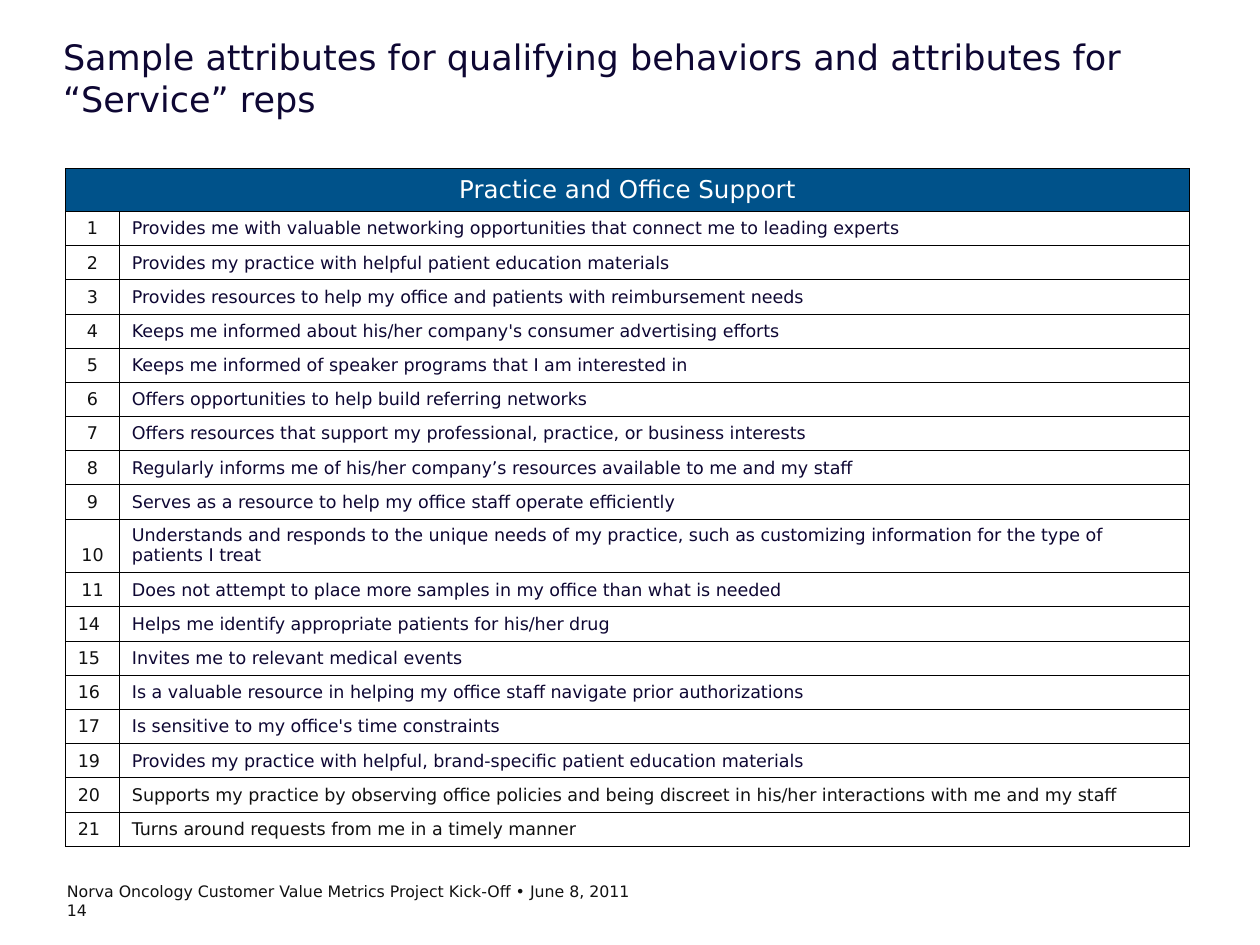
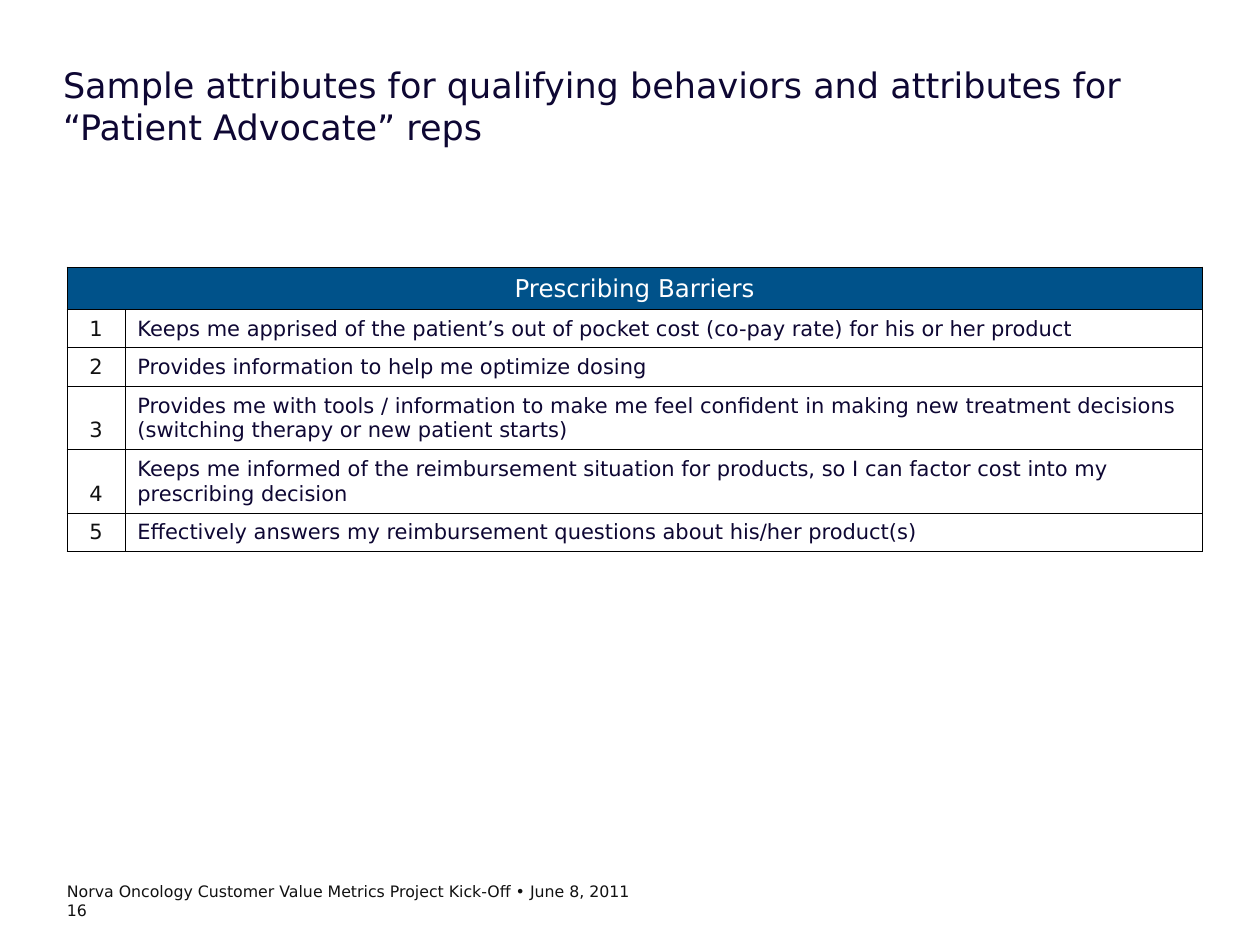
from dataclasses import dataclass

from lxml import etree
from pptx import Presentation
from pptx import util as u
from pptx.dml import color
from pptx.enum import text
from pptx.oxml import ns

Cm, Pt = u.Cm, u.Pt
ALIGN = text.PP_ALIGN


@dataclass(frozen=True)
class Theme:
    font: str = "DejaVu Sans"
    navy: str = "0E0733"
    ink: str = "111111"
    band: str = "00528A"
    white: str = "FFFFFF"
    border: str = "000000"
    border_pt: float = 0.45
    title_pt: int = 20
    heading_pt: int = 14
    footer_pt: int = 9


@dataclass(frozen=True)
class TableLayout:
    """Measures in centimetres, text size in points."""
    left: float
    top: float
    columns: tuple
    row: float
    tall_row: float
    size: int
    heading_row: float = 0.86


FOOTER = "Norva Oncology Customer Value Metrics Project Kick-Off • June 8, 2011"
TITLE_START = "Sample attributes for qualifying behaviors and attributes for "

SERVICE_ATTRIBUTES = {
    1: "Provides me with valuable networking opportunities that connect me to leading experts",
    2: "Provides my practice with helpful patient education materials",
    3: "Provides resources to help my office and patients with reimbursement needs",
    4: "Keeps me informed about his/her company's consumer advertising efforts",
    5: "Keeps me informed of speaker programs that I am interested in",
    6: "Offers opportunities to help build referring networks",
    7: "Offers resources that support my professional, practice, or business interests",
    8: "Regularly informs me of his/her company’s resources available to me and my staff",
    9: "Serves as a resource to help my office staff operate efficiently",
    10: "Understands and responds to the unique needs of my practice, such as "
        "customizing information for the type of patients I treat",
    11: "Does not attempt to place more samples in my office than what is needed",
    14: "Helps me identify appropriate patients for his/her drug",
    15: "Invites me to relevant medical events",
    16: "Is a valuable resource in helping my office staff navigate prior authorizations",
    17: "Is sensitive to my office's time constraints",
    19: "Provides my practice with helpful, brand-specific patient education materials",
    20: "Supports my practice by observing office policies and being discreet in "
        "his/her interactions with me and my staff",
    21: "Turns around requests from me in a timely manner",
}

ADVOCATE_ATTRIBUTES = {
    1: "Keeps me apprised of the patient’s out of pocket cost (co-pay rate) for his or her product",
    2: "Provides information to help me optimize dosing",
    3: "Provides me with tools / information to make me feel confident in making "
       "new treatment decisions (switching therapy or new patient starts)",
    4: "Keeps me informed of the reimbursement situation for products, so I can "
       "factor cost into my prescribing decision",
    5: "Effectively answers my reimbursement questions about his/her product(s)",
}

FIRST_LEFT_NUMBER = 14  # numbers from here on are left-aligned
FIRST_INK_NUMBER = 20   # attributes from here on are in ink, not navy


class Deck:
    def __init__(self, theme):
        self.theme = theme
        self.prs = Presentation()
        self.prs.slide_width, self.prs.slide_height = Cm(25.4), Cm(19.05)
        self.slide = None

    def new_slide(self):
        self.slide = self.prs.slides.add_slide(self.prs.slide_layouts[5])

    def add_words(self, paragraph, words, size, tint, align=ALIGN.LEFT):
        paragraph.alignment = align
        run = paragraph.add_run()
        run.text = words
        run.font.name = self.theme.font
        run.font.size = Pt(size)
        run.font.color.rgb = color.RGBColor.from_string(tint)

    def prepare_frame(self, frame):
        frame.margin_left = frame.margin_right = 0
        frame.margin_top = frame.margin_bottom = 0
        frame.word_wrap = True
        frame.auto_size = text.MSO_AUTO_SIZE.NONE
        frame.vertical_anchor = text.MSO_ANCHOR.TOP

    def title(self, words, top, width):
        heading = self.slide.shapes.title
        heading.left, heading.top = Cm(1.27), Cm(top)
        heading.width, heading.height = Cm(width), Cm(2.54)
        self.prepare_frame(heading.text_frame)
        self.add_words(heading.text_frame.paragraphs[0], words,
                       self.theme.title_pt, self.theme.navy)

    def footer(self, page):
        frame = self.slide.shapes.add_textbox(
            Cm(1.35), Cm(17.78), Cm(19.05), Cm(0.89)).text_frame
        self.prepare_frame(frame)
        for paragraph, words in ((frame.paragraphs[0], FOOTER),
                                 (frame.add_paragraph(), str(page))):
            self.add_words(paragraph, words, self.theme.footer_pt, self.theme.ink)

    def outline(self, cell):
        properties = cell._tc.get_or_add_tcPr()
        for side in ("lnL", "lnR", "lnT", "lnB"):
            line = etree.SubElement(properties, ns.qn(f"a:{side}"),
                                    w=str(int(Pt(self.theme.border_pt))))
            fill = etree.SubElement(line, ns.qn("a:solidFill"))
            etree.SubElement(fill, ns.qn("a:srgbClr"), val=self.theme.border)

    def cell(self, cell, words, size, tint, align=ALIGN.LEFT):
        cell.vertical_anchor = text.MSO_ANCHOR.BOTTOM
        cell.margin_left = cell.margin_right = Cm(0.25)
        cell.margin_top = cell.margin_bottom = Cm(0.13)
        self.add_words(cell.text_frame.paragraphs[0], words, size, tint, align)

    def attribute_table(self, heading, attributes, layout, two_line):
        """Numbered attributes under a band; two_line holds the numbers that wrap."""
        theme = self.theme
        heights = [layout.heading_row] + [
            layout.tall_row if number in two_line else layout.row
            for number in attributes]
        table = self.slide.shapes.add_table(
            len(heights), 2, Cm(layout.left), Cm(layout.top),
            Cm(sum(layout.columns)), Cm(sum(heights))).table
        table.first_row = table.horz_banding = False
        for column, width in zip(table.columns, layout.columns):
            column.width = Cm(width)
        for row, height in zip(table.rows, heights):
            row.height = Cm(height)
        for cell in table.iter_cells():
            self.outline(cell)
            cell.fill.background()

        band = table.cell(0, 0)
        band.merge(table.cell(0, 1))
        band.fill.solid()
        band.fill.fore_color.rgb = color.RGBColor.from_string(theme.band)
        self.cell(band, heading, theme.heading_pt, theme.white, ALIGN.CENTER)
        for row, (number, attribute) in enumerate(attributes.items(), start=1):
            align = ALIGN.CENTER if number < FIRST_LEFT_NUMBER else ALIGN.LEFT
            tint = theme.navy if number < FIRST_INK_NUMBER else theme.ink
            self.cell(table.cell(row, 0), str(number), layout.size, theme.ink, align)
            self.cell(table.cell(row, 1), attribute, layout.size, tint)


def main():
    deck = Deck(Theme())

    deck.new_slide()
    deck.title(TITLE_START + "“Service” reps", top=0.71, width=22.48)
    deck.attribute_table(
        "Practice and Office Support", SERVICE_ATTRIBUTES,
        TableLayout(1.32, 3.4, (1.09, 21.57), row=0.69, tall_row=1.07, size=10),
        two_line={10})
    deck.footer(14)

    deck.new_slide()
    deck.title(TITLE_START + "“Patient Advocate” reps", top=1.27, width=22.96)
    deck.attribute_table(
        "Prescribing Barriers", ADVOCATE_ATTRIBUTES,
        TableLayout(1.35, 5.38, (1.17, 21.72), row=0.77, tall_row=1.28, size=12),
        two_line={3, 4})
    deck.footer(16)

    deck.prs.save("out.pptx")


if __name__ == "__main__":
    main()
